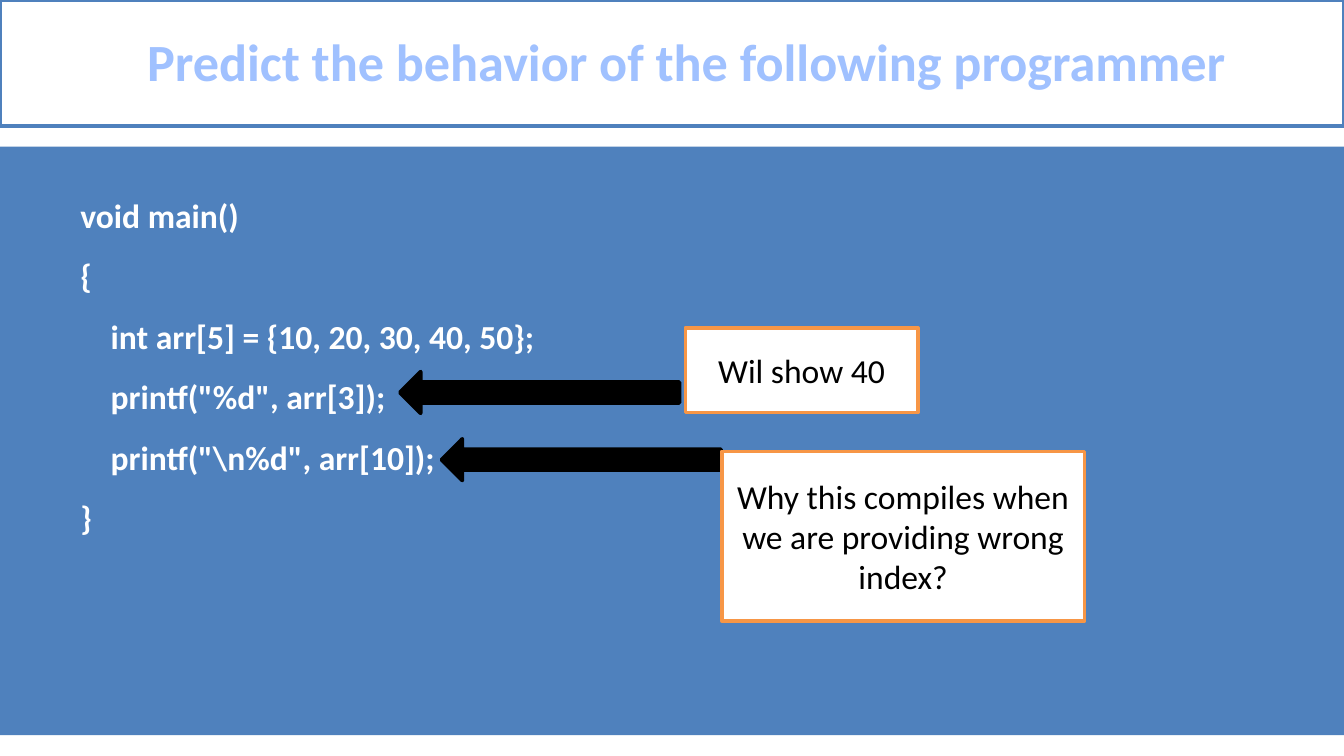
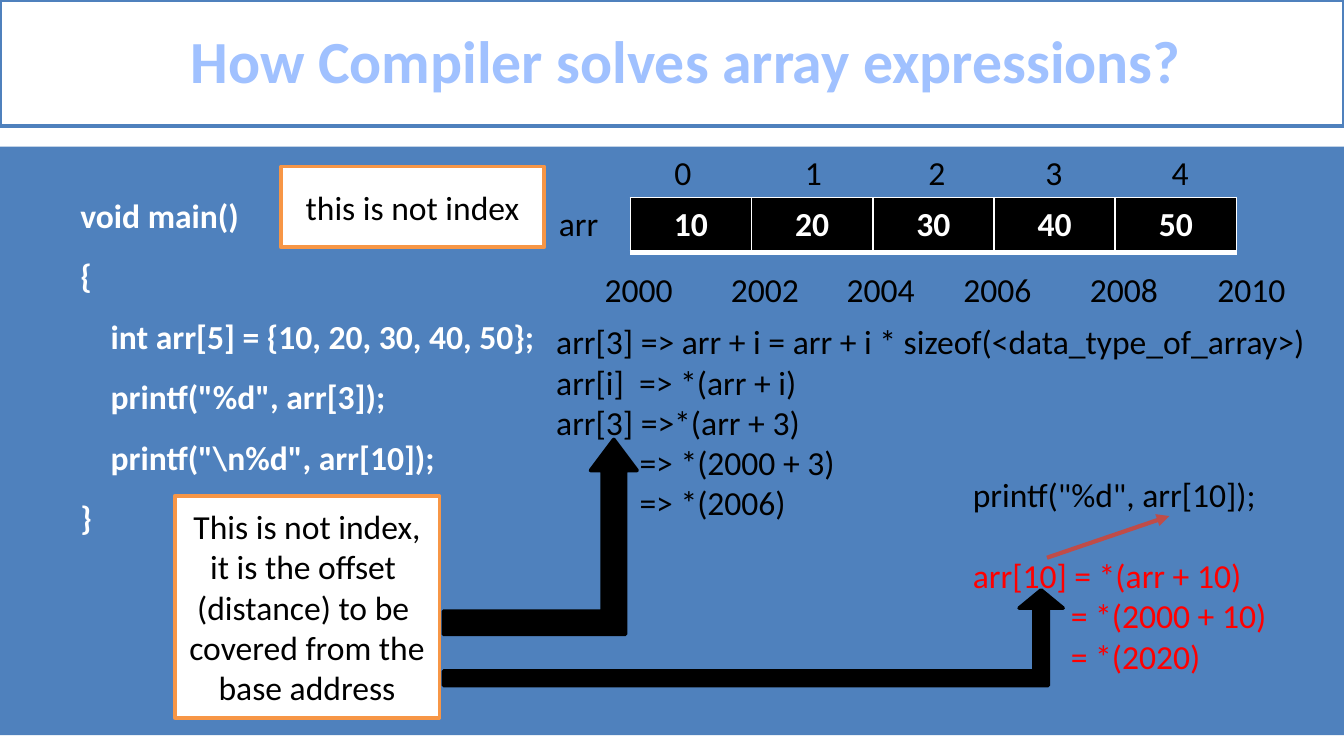
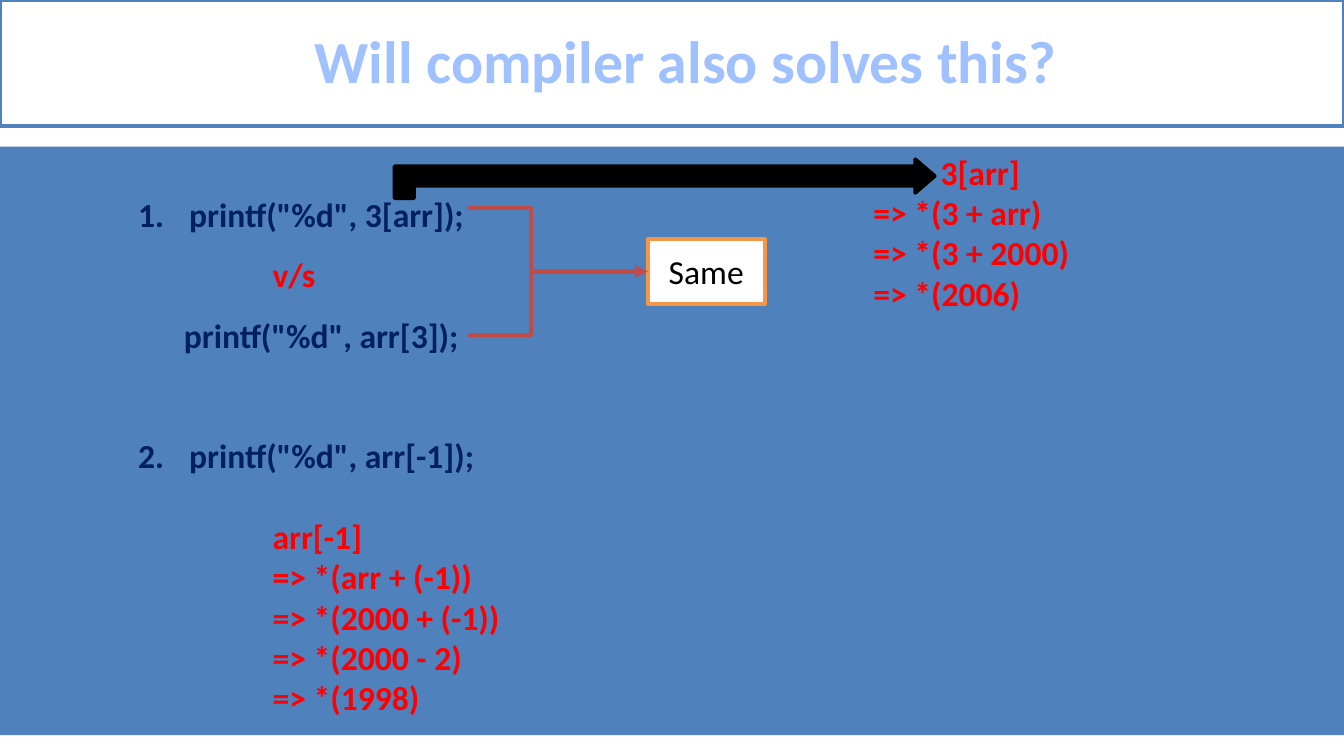
from dataclasses import dataclass

from lxml.etree import SubElement
from pptx import Presentation
from pptx.dml.color import RGBColor
from pptx.enum.shapes import MSO_CONNECTOR, MSO_SHAPE
from pptx.enum.text import MSO_ANCHOR, PP_ALIGN
from pptx.oxml.ns import qn
from pptx.util import Pt

PX = 9144


@dataclass(frozen=True)
class Theme:
    font: str = "Calibri"
    white: str = "FFFFFF"
    black: str = "000000"
    blue: str = "4F81BD"
    title: str = "A0C1FF"
    orange: str = "F79646"
    navy: str = "002060"
    red: str = "FF0000"
    link: str = "BF4C48"
    body_size: int = 18
    title_size: int = 32
    long_title_size: int = 28
    blank_line: float = 21.6
    outline: float = 2
    link_width: float = 2.25


T = Theme()
WIDTH = 1000
TITLE = (0, 0, WIDTH, 94)
BAND = (0, 109, WIDTH, 438)
CODE = (0, 125, WIDTH, 278)
CODE_LINES = (
    "void main()",
    "{",
    "    int arr[5] = {10, 20, 30, 40, 50};",
    '    printf("%d", arr[3]);',
    '    printf("\\n%d", arr[10]);',
    "}",
)


def emu(*lengths):
    return [length * PX for length in lengths]


def rgb(color):
    return RGBColor.from_string(color)


def add_para(tf, text, color=T.black, size=T.body_size, bold=False, align=None,
             left=0, indent=0, spacing=None, before=0, number=None):
    p = tf.paragraphs[0]
    if p.runs:
        p = tf.add_paragraph()
    if align is not None:
        p.alignment = align
    if spacing:
        p.line_spacing = spacing
    if before:
        p.space_before = Pt(before)
    pPr = p._p.get_or_add_pPr()
    pPr.set("marL", str(left * PX))
    pPr.set("indent", str(indent * PX))
    if number:
        bullet = SubElement(pPr, qn("a:buAutoNum"), type="arabicPeriod")
        if number > 1:
            bullet.set("startAt", str(number))
    r = p.add_run()
    r.text = text
    r.font.name = T.font
    r.font.size = Pt(size)
    r.font.bold = bold
    r.font.color.rgb = rgb(color)


def add_text(s, box, wrap=False):
    tf = s.shapes.add_textbox(*emu(*box)).text_frame
    tf.word_wrap = wrap
    return tf


def add_label(s, box, text):
    add_para(add_text(s, box), text)


def add_shape(s, kind, box, fill=None, line=None, width=T.outline, adjust=()):
    sp = s.shapes.add_shape(kind, *emu(*box))
    sp.shadow.inherit = False
    for i, value in enumerate(adjust):
        sp.adjustments[i] = value
    if fill:
        sp.fill.solid()
        sp.fill.fore_color.rgb = rgb(fill)
    else:
        sp.fill.background()
    if line:
        sp.line.color.rgb = rgb(line)
        sp.line.width = Pt(width)
    else:
        sp.line.fill.background()
    return sp


def add_block_arrow(s, kind, box, adjust=(), rotation=0, flip=False):
    sp = add_shape(s, kind, box, T.black, T.black, adjust=adjust)
    sp.rotation = rotation
    if flip:
        sp._element.spPr.find(qn("a:xfrm")).set("flipH", "1")


def add_callout(s, box, *paragraphs):
    sp = add_shape(s, MSO_SHAPE.RECTANGLE, box, T.white, T.orange)
    tf = sp.text_frame
    tf.word_wrap = True
    tf.vertical_anchor = MSO_ANCHOR.MIDDLE
    for text in paragraphs:
        add_para(tf, text, align=PP_ALIGN.CENTER)
    return sp


def add_link(s, *ends):
    c = s.shapes.add_connector(MSO_CONNECTOR.STRAIGHT, *emu(*ends))
    c.line.color.rgb = rgb(T.link)
    c.line.width = Pt(T.link_width)
    SubElement(c.line._get_or_add_ln(), qn("a:tailEnd"), type="triangle")
    SubElement(c._element.spPr, qn("a:effectLst"))
    return c


def add_slide(prs, title, size=T.title_size):
    s = prs.slides.add_slide(prs.slide_layouts[6])
    add_shape(s, MSO_SHAPE.RECTANGLE, BAND, T.blue)
    sp = add_shape(s, MSO_SHAPE.RECTANGLE, TITLE, T.white, T.blue)
    tf = sp.text_frame
    tf.word_wrap = True
    tf.vertical_anchor = MSO_ANCHOR.MIDDLE
    add_para(tf, title, T.title, size, True, PP_ALIGN.CENTER, left=21, spacing=0.96)
    return s


def add_code(s, box):
    tf = add_text(s, box, wrap=True)
    for text in CODE_LINES:
        add_para(tf, text, T.white, bold=True, left=50, spacing=1.5)


def border_cell(cell):
    tcPr = cell._tc.get_or_add_tcPr()
    for i, (side, width) in enumerate((("lnL", 1), ("lnR", 1), ("lnT", 1), ("lnB", 3))):
        ln = tcPr.makeelement(qn(f"a:{side}"), {"w": str(Pt(width))})
        fill = SubElement(ln, qn("a:solidFill"))
        SubElement(fill, qn("a:srgbClr"), val=T.white)
        tcPr.insert(i, ln)


def add_array(s, box):
    x, y, w, h = box
    values = (10, 20, 30, 40, 50)
    add_label(s, (x, y + 38, 50, 40), "arr")
    for i, dx in enumerate((86, 183, 275, 362, 456)):
        add_label(s, (x + dx, y, 33, 40), str(i))
    for i, dx in enumerate((34, 128, 214, 301, 395, 490)):
        add_label(s, (x + dx, y + 87, 71, 40), str(2000 + 2 * i))
    frame = s.shapes.add_table(1, len(values), *emu(x + 63, y + 39, w - 110, 41))
    table = frame.table
    table.horz_banding = False
    for cell, value in zip(table.rows[0].cells, values):
        cell.fill.solid()
        cell.fill.fore_color.rgb = rgb(T.black)
        add_para(cell.text_frame, str(value), T.white, bold=True, align=PP_ALIGN.CENTER)
        border_cell(cell)


def add_offset_steps(s, box):
    tf = add_text(s, box)
    for text in ("arr[3] => arr + i = arr + i * sizeof(<data_type_of_array>)",
                 "arr[i]  => *(arr + i)",
                 "arr[3] =>*(arr + 3)"):
        add_para(tf, text)
    for text in ("=> *(2000 + 3)", "=> *(2006)"):
        add_para(tf, text, left=62)


def add_overflow_steps(s, box):
    tf = add_text(s, box)
    add_para(tf, 'printf("%d", arr[10]);')
    add_para(tf, "arr[10] = *(arr + 10)", T.red, before=T.blank_line)
    for text in ("= *(2000 + 10)", "= *(2020)"):
        add_para(tf, text, T.red, left=73)


def add_questions(s, box):
    tf = add_text(s, box, wrap=True)
    item = dict(color=T.navy, bold=True, left=138, indent=-38)
    note = dict(color=T.red, bold=True, left=200)
    add_para(tf, 'printf("%d", 3[arr]);', spacing=1.5, number=1, **item)
    add_para(tf, "v/s", spacing=1.5, **note)
    add_para(tf, 'printf("%d", arr[3]);', T.navy, bold=True, left=134, spacing=1.5)
    add_para(tf, 'printf("%d", arr[-1]);', before=2 * T.blank_line, number=2, **item)
    add_para(tf, "arr[-1]", before=T.blank_line, **note)
    for text in ("=> *(arr + (-1))", "=> *(2000 + (-1))", "=> *(2000 - 2)", "=> *(1998)"):
        add_para(tf, text, **note)


def add_same_bracket(s, box):
    x, y, w, h = box
    middle = y + h // 2
    add_shape(s, MSO_SHAPE.RIGHT_BRACKET, (x, y, 47, h), line=T.link,
              width=T.link_width, adjust=(0,))
    same = add_callout(s, (x + w - 87, middle - 24, 87, 48), "Same")
    link = add_link(s, x + 48, middle, x + w - 87, middle)
    link.end_connect(same, 1)


def add_swapped_steps(s, box):
    tf = add_text(s, box)
    add_para(tf, "3[arr]", T.red, bold=True, left=50)
    for text in ("=> *(3 + arr)", "=> *(3 + 2000)", "=> *(2006)"):
        add_para(tf, text, T.red, bold=True)


def predict_slide(prs):
    s = add_slide(prs, "Predict the behavior of the following programmer", T.long_title_size)
    add_code(s, CODE)
    notes = (
        ((386, 188, 31, 208), (510, 244, 173, 63), "Wil show 40"),
        ((417, 238, 31, 208), (537, 336, 270, 126),
         "Why this compiles when we are providing wrong index?"),
    )
    for arrow, box, text in notes:
        add_block_arrow(s, MSO_SHAPE.UP_ARROW, arrow, rotation=270)
        add_callout(s, box, text)


def solve_slide(prs):
    s = add_slide(prs, "How Compiler solves array expressions?")
    add_code(s, CODE)
    add_array(s, (406, 108, 561, 127))
    add_offset_steps(s, (404, 234, 584, 162))
    add_callout(s, (130, 369, 197, 165), "This is not index, it is the offset ",
                "(distance) to be  covered from the base address")
    add_block_arrow(s, MSO_SHAPE.BENT_UP_ARROW, (330, 327, 144, 145), (0.12, 0.12, 0.16))
    add_overflow_steps(s, (714, 348, 243, 162))
    add_callout(s, (209, 124, 196, 60), "this is not index")
    add_block_arrow(s, MSO_SHAPE.BENT_UP_ARROW, (330, 439, 461, 71), (0.15, 0.23, 0.19))
    add_link(s, 779, 415, 870, 384)


def swap_slide(prs):
    s = add_slide(prs, "Will compiler also solves this?")
    add_questions(s, (-7, 124, WIDTH, 419))
    add_same_bracket(s, (348, 155, 221, 94))
    add_swapped_steps(s, (640, 108, 167, 131))
    add_block_arrow(s, MSO_SHAPE.BENT_UP_ARROW, (480, -68, 29, 402), (0.5, 0.43, 0.5),
                    rotation=90, flip=True)


def main():
    prs = Presentation()
    prs.slide_width = WIDTH * PX
    prs.slide_height = prs.slide_width * 9 // 16
    predict_slide(prs)
    solve_slide(prs)
    swap_slide(prs)
    prs.save("out.pptx")


if __name__ == "__main__":
    main()
